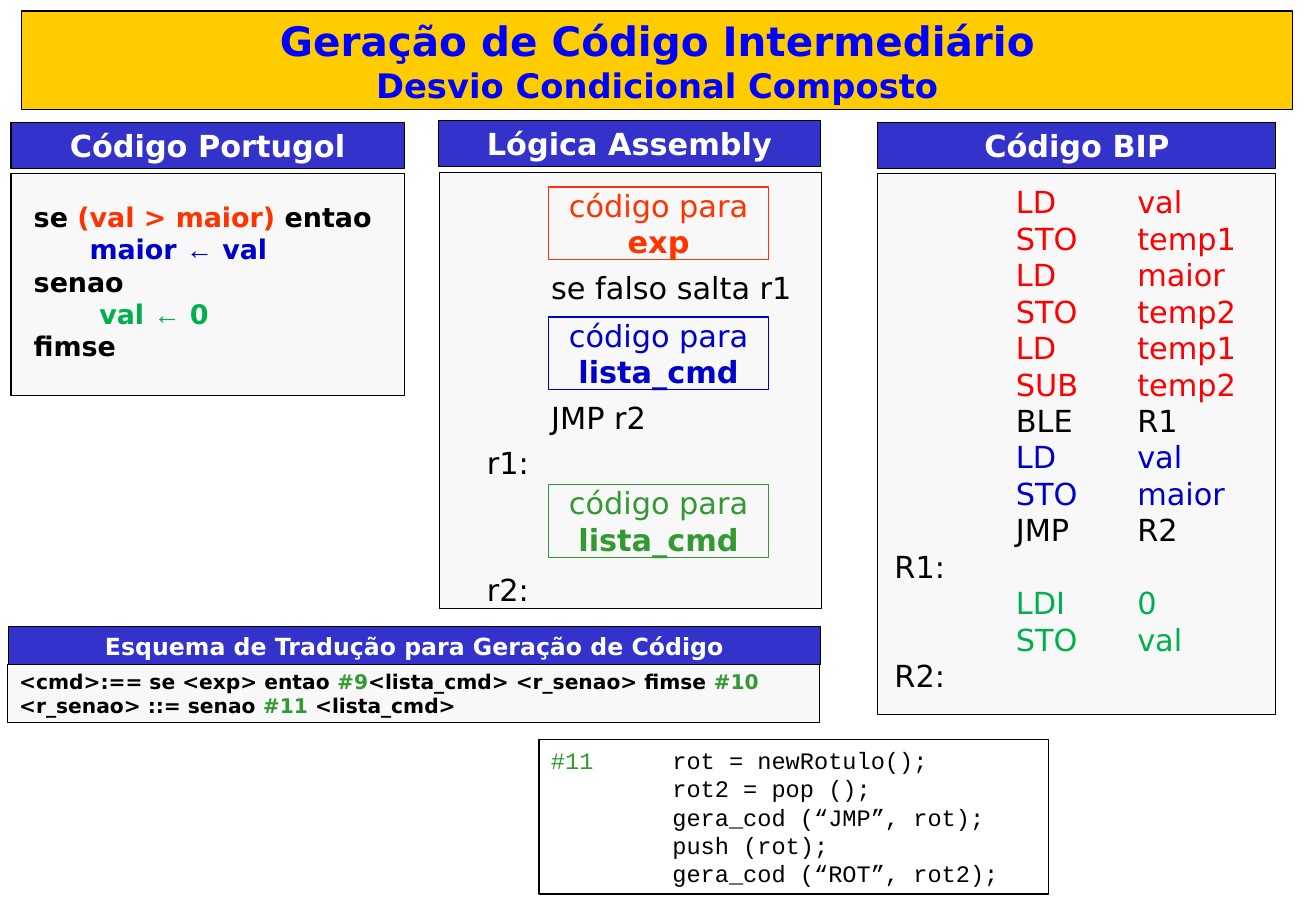
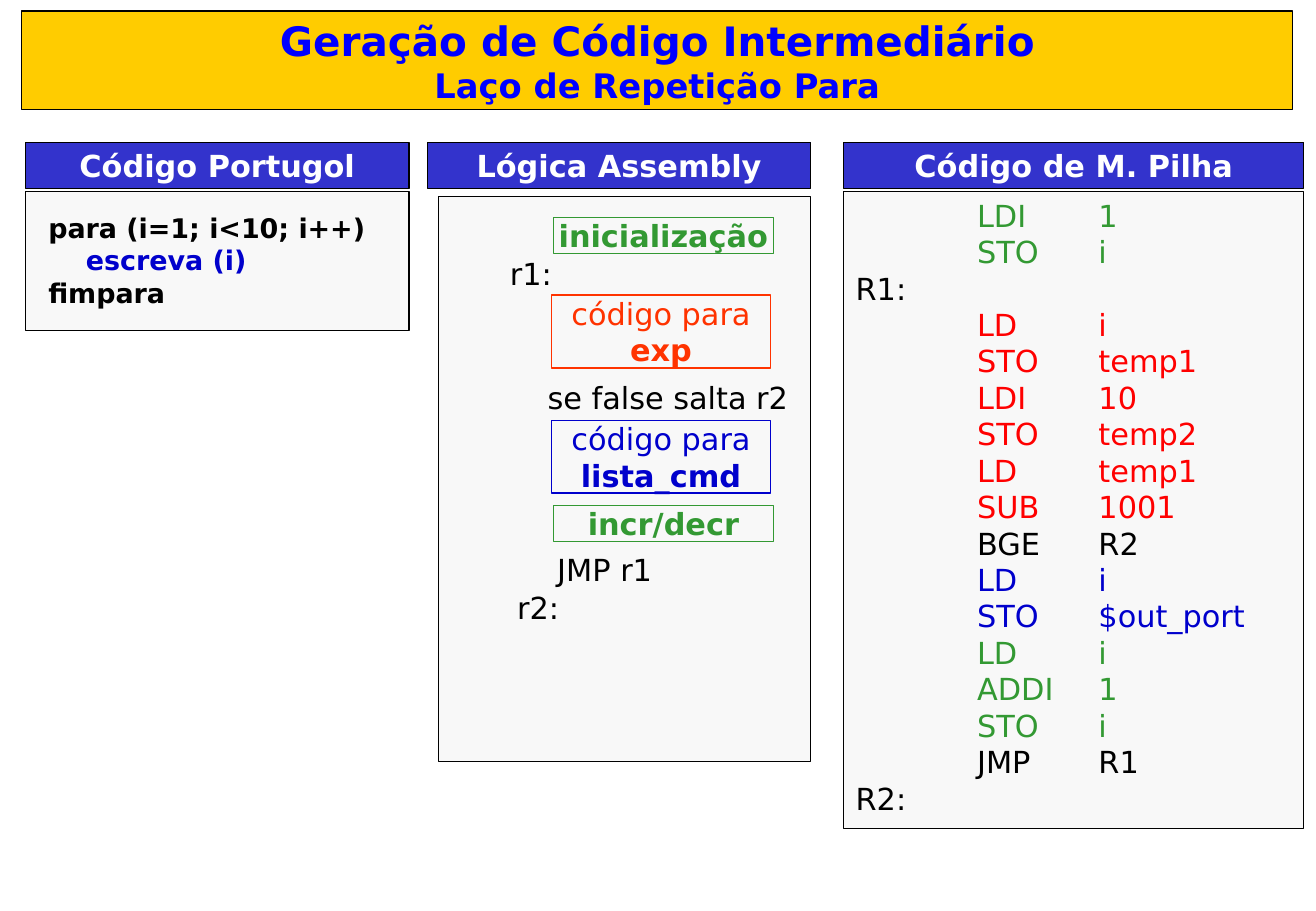
from dataclasses import dataclass
from typing import Optional

from lxml import etree
from pptx import Presentation
from pptx.dml.color import RGBColor
from pptx.enum.shapes import MSO_SHAPE
from pptx.enum.text import MSO_ANCHOR, MSO_AUTO_SIZE, PP_ALIGN
from pptx.oxml.ns import qn
from pptx.util import Inches, Pt

RECTANGLE = MSO_SHAPE.RECTANGLE
TOP = MSO_ANCHOR.TOP
NO_AUTOFIT = MSO_AUTO_SIZE.NONE
LEFT, CENTER = PP_ALIGN.LEFT, PP_ALIGN.CENTER

BLACK, WHITE = "000000", "FFFFFF"
GOLD, TITLE_BLUE = "FFCC00", "0000FF"
HEADING_BLUE, PANEL_GRAY = "3333CC", "F8F8F8"
ORANGE, RED, BLUE = "FF3300", "FF0000", "0000CC"
GREEN, BRIGHT_GREEN = "339933", "00B050"
SANS, MONO, SYMBOL = "DejaVu Sans", "Courier New", "Arial"
ARROW = "←"
TAB_STOPS = (1, 2)
HEADING_HEIGHT = 0.38


@dataclass(frozen=True)
class Span:
    text: str
    color: str = BLACK
    bold: bool = False
    font: str = SANS
    size: Optional[int] = None


@dataclass(frozen=True)
class Line:
    spans: tuple[Span, ...]
    indent: float = 0


@dataclass(frozen=True)
class Area:
    left: float
    top: float
    width: float
    height: float


@dataclass(frozen=True)
class TextStyle:
    size: int
    align: PP_ALIGN = LEFT
    inset_x: float = 0.1
    inset_y: float = 0.04


@dataclass(frozen=True)
class Step:
    left: float
    top: float
    text: str
    detail: str = ""
    color: str = BLACK
    framed: bool = False


@dataclass(frozen=True)
class Instruction:
    operation: str
    operand: str = ""
    color: str = BLACK


HEADING = TextStyle(18, CENTER)
SUBHEADING = TextStyle(14, CENTER)
PROGRAM = TextStyle(16)
LISTING = TextStyle(18)
GRAMMAR = TextStyle(12)
ACTION = TextStyle(14, inset_y=0.05)
STEP = TextStyle(18, LEFT, 0.02, 0)
FRAMED_STEP = TextStyle(18, CENTER, 0.02, 0)


def rgb(color: str) -> RGBColor:
    return RGBColor.from_string(color)


def paint(shape, fill: Optional[str], outline: str) -> None:
    if fill:
        shape.fill.solid()
        shape.fill.fore_color.rgb = rgb(fill)
    else:
        shape.fill.background()
    shape.line.color.rgb = rgb(outline)
    shape.line.width = Pt(0.75)


def write(shape, lines: list[Line], style: TextStyle) -> None:
    frame = shape.text_frame
    frame.word_wrap = True
    frame.auto_size = NO_AUTOFIT
    frame.vertical_anchor = TOP
    frame.margin_left = frame.margin_right = Inches(style.inset_x)
    frame.margin_top = frame.margin_bottom = Inches(style.inset_y)
    for index, line in enumerate(lines):
        paragraph = frame.add_paragraph() if index else frame.paragraphs[0]
        paragraph.alignment = style.align
        properties = paragraph._p.get_or_add_pPr()
        if line.indent:
            properties.set("marL", str(Inches(line.indent)))
        if any("\t" in span.text for span in line.spans):
            stops = etree.SubElement(properties, qn("a:tabLst"))
            for stop in TAB_STOPS:
                etree.SubElement(stops, qn("a:tab"), pos=str(Inches(stop)), algn="l")
        for span in line.spans:
            run = paragraph.add_run()
            run.text = span.text
            run.font.name = span.font
            run.font.size = Pt(span.size or style.size)
            run.font.bold = span.bold
            run.font.color.rgb = rgb(span.color)


def place(area: Area) -> tuple[int, ...]:
    return tuple(Inches(n) for n in (area.left, area.top, area.width, area.height))


def add_panel(slide, area: Area, fill: Optional[str] = PANEL_GRAY, outline: str = BLACK):
    panel = slide.shapes.add_shape(RECTANGLE, *place(area))
    panel.shadow.inherit = False
    paint(panel, fill, outline)
    return panel


def add_text(slide, area: Area, lines: list[Line], style: TextStyle) -> None:
    write(slide.shapes.add_textbox(*place(area)), lines, style)


def add_heading(slide, area: Area, text: str, style: TextStyle = HEADING) -> None:
    heading = add_panel(slide, area, HEADING_BLUE)
    write(heading, [Line((Span(text, WHITE, True),))], style)


def add_step(slide, step: Step) -> None:
    if not step.framed:
        add_text(slide, Area(step.left, step.top, 2.35, 0.3),
                 [Line((Span(step.text, step.color),))], STEP)
        return
    spans = (Span(step.text, step.color),) if step.text else ()
    frame = add_panel(slide, Area(step.left, step.top, 1.81, 0.6 if step.text else 0.3),
                      None, step.color)
    write(frame, [Line(spans + (Span(step.detail, step.color, True),))], FRAMED_STEP)


def add_listing(slide, area: Area, instructions: list[Instruction]) -> None:
    lines = []
    for item in instructions:
        text = f"\t{item.operation}\t{item.operand}" if item.operand else item.operation
        lines.append(Line((Span(text, item.color),)))
    add_text(slide, area, lines, LISTING)


def add_topic_slide(deck, topic: str):
    slide = deck.slides.add_slide(deck.slide_layouts[5])
    title = slide.shapes.title
    title.left, title.top, title.width, title.height = place(Area(0.18, 0.09, 10.47, 0.81))
    paint(title, GOLD, BLACK)
    write(title, [
        Line((Span("Geração de Código Intermediário", TITLE_BLUE, True, size=24),)),
        Line((Span(topic, TITLE_BLUE, True),)),
    ], TextStyle(20, CENTER))
    return slide


def bold(text: str, color: str = BLACK, font: str = SANS) -> Span:
    return Span(text, color, True, font)


def assignment(target: str, value: str, color: str, indent: float) -> Line:
    return Line((bold(f"{target} ", color), bold(ARROW, color, SYMBOL),
                 bold(f" {value}", color)), indent)


def framed(left: float, top: float, detail: str, color: str, text: str = "código para ") -> Step:
    return Step(left, top, text, detail, color, True)


def block(color: str, *pairs: tuple[str, str]) -> list[Instruction]:
    return [Instruction(operation, operand, color) for operation, operand in pairs]


def build_conditional(deck) -> None:
    slide = add_topic_slide(deck, "Desvio Condicional Composto")
    add_panel(slide, Area(0.09, 1.43, 3.24, 1.83))
    add_panel(slide, Area(3.62, 1.42, 3.15, 3.59))
    add_panel(slide, Area(7.23, 1.43, 3.28, 4.45))
    add_heading(slide, Area(0.09, 1.01, 3.24, HEADING_HEIGHT), "Código Portugol")
    add_heading(slide, Area(3.61, 0.99, 3.15, HEADING_HEIGHT), "Lógica Assembly")
    add_heading(slide, Area(7.23, 1.01, 3.28, HEADING_HEIGHT), "Código BIP")

    add_text(slide, Area(0.18, 1.61, 3.07, 1.41), [
        Line((bold("se "), bold("(val > maior)", ORANGE), bold(" entao"))),
        assignment("maior", "val", BLUE, 0.46),
        Line((bold("senao"),)),
        assignment("val", "0", BRIGHT_GREEN, 0.54),
        Line((bold("fimse"),)),
    ], PROGRAM)

    for step in (
        framed(4.52, 1.54, "exp", ORANGE),
        Step(4.52, 2.22, "se falso salta r1"),
        framed(4.52, 2.61, "lista_cmd", BLUE),
        Step(4.52, 3.29, "JMP r2"),
        Step(3.99, 3.66, "r1:"),
        framed(4.52, 3.99, "lista_cmd", GREEN),
        Step(3.99, 4.7, "r2:"),
    ):
        add_step(slide, step)

    add_listing(slide, Area(7.27, 1.47, 3.33, 4.28), [
        *block(RED, ("LD", "val"), ("STO", "temp1"), ("LD", "maior"),
               ("STO", "temp2"), ("LD", "temp1"), ("SUB", "temp2")),
        Instruction("BLE", "R1"),
        *block(BLUE, ("LD", "val"), ("STO", "maior")),
        Instruction("JMP", "R2"),
        Instruction("R1:"),
        *block(BRIGHT_GREEN, ("LDI", "0"), ("STO", "val")),
        Instruction("R2:"),
    ])

    grammar = add_panel(slide, Area(0.06, 5.47, 6.69, 0.48))
    write(grammar, [
        Line((bold("<cmd>:== se <exp> entao "), bold("#9", GREEN),
              bold("<lista_cmd> <r_senao> fimse "), bold("#10", GREEN))),
        Line((bold("<r_senao> ::= senao "), bold("#11", GREEN), bold(" <lista_cmd>"))),
    ], GRAMMAR)
    add_heading(slide, Area(0.07, 5.16, 6.69, 0.31),
                "Esquema de Tradução para Geração de Código", SUBHEADING)

    statements = ("rot2 = pop ();", "gera_cod (“JMP”, rot);", "push (rot);",
                  "gera_cod (“ROT”, rot2);")
    action = add_panel(slide, Area(4.44, 6.09, 4.2, 1.27), None)
    write(action, [
        Line((Span("#11\t", GREEN, font=MONO), Span("rot = newRotulo();", font=MONO))),
        *(Line((Span(f"\t{statement}", font=MONO),)) for statement in statements),
    ], ACTION)


def build_loop(deck) -> None:
    slide = add_topic_slide(deck, "Laço de Repetição Para")
    add_panel(slide, Area(0.21, 1.58, 3.16, 1.14))
    add_panel(slide, Area(3.61, 1.62, 3.07, 4.65))
    add_panel(slide, Area(6.95, 1.58, 3.79, 5.24))
    for left, width, text in ((0.21, 3.16, "Código Portugol"),
                              (3.52, 3.16, "Lógica Assembly"),
                              (6.95, 3.79, "Código de M. Pilha")):
        add_heading(slide, Area(left, 1.17, width, HEADING_HEIGHT), text)

    add_text(slide, Area(0.3, 1.7, 3.07, 0.88), [
        Line((bold("para (i=1; i<10; i++)"),)),
        Line((bold("escreva (i)", BLUE),), 0.31),
        Line((bold("fimpara"),)),
    ], PROGRAM)

    for step in (
        framed(4.56, 1.79, "inicialização", GREEN, ""),
        Step(4.18, 2.1, "r1:"),
        framed(4.54, 2.43, "exp", ORANGE),
        Step(4.49, 3.12, "se false salta r2"),
        framed(4.54, 3.46, "lista_cmd", BLUE),
        framed(4.56, 4.16, "incr/decr", GREEN, ""),
        Step(4.57, 4.54, "JMP r1"),
        Step(4.24, 4.85, "r2:"),
    ):
        add_step(slide, step)

    add_listing(slide, Area(6.95, 1.58, 3.79, 5.18), [
        *block(GREEN, ("LDI", "1"), ("STO", "i")),
        Instruction("R1:"),
        *block(RED, ("LD", "i"), ("STO", "temp1"), ("LDI", "10"),
               ("STO", "temp2"), ("LD", "temp1"), ("SUB", "1001")),
        Instruction("BGE", "R2"),
        *block(BLUE, ("LD", "i"), ("STO", "$out_port")),
        *block(GREEN, ("LD", "i"), ("ADDI", "1"), ("STO", "i")),
        Instruction("JMP", "R1"),
        Instruction("R2:"),
    ])


def main() -> None:
    deck = Presentation()
    deck.slide_width, deck.slide_height = Inches(10.84), Inches(7.5)
    build_conditional(deck)
    build_loop(deck)
    deck.save("out.pptx")


if __name__ == "__main__":
    main()
